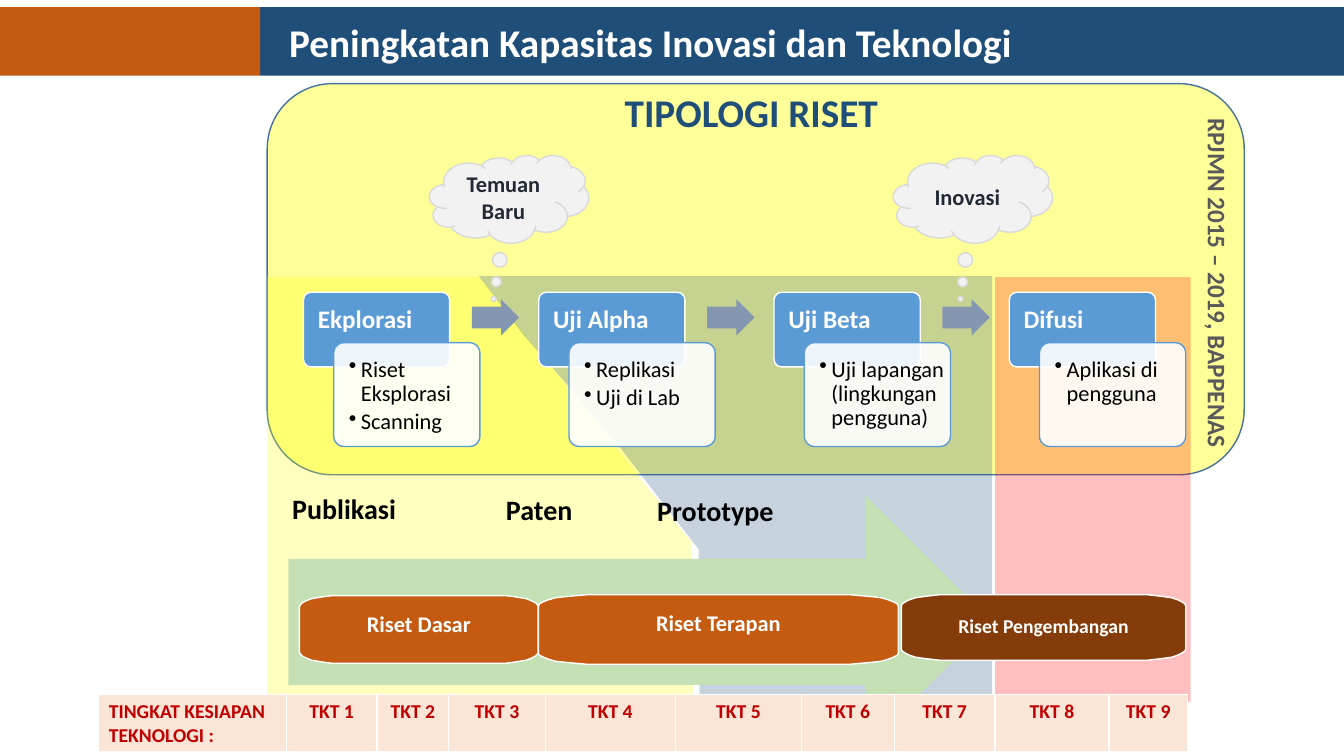
from dataclasses import dataclass
from math import cos, pi, sin

from lxml import etree
from pptx import Presentation
from pptx.dml.color import RGBColor
from pptx.enum.shapes import MSO_SHAPE
from pptx.enum.text import MSO_ANCHOR, PP_ALIGN
from pptx.oxml.ns import qn
from pptx.util import Emu, Pt

PX = 9144  # 100 px to the inch
RECTANGLE, ROUNDED = MSO_SHAPE.RECTANGLE, MSO_SHAPE.ROUNDED_RECTANGLE
ARROW, CLOUD = MSO_SHAPE.RIGHT_ARROW, MSO_SHAPE.CLOUD_CALLOUT
TOP, MIDDLE = MSO_ANCHOR.TOP, MSO_ANCHOR.MIDDLE
LEFT, CENTER = PP_ALIGN.LEFT, PP_ALIGN.CENTER


@dataclass(frozen=True)
class Theme:
    font: str = "Calibri"
    navy: str = "1F4E79"
    orange: str = "C55A11"
    brown: str = "843C0B"
    yellow: str = "FFFF00"
    red: str = "FF0000"
    blue: str = "5B9BD5"
    panel_line: str = "43739E"
    slate: str = "8497B0"
    green: str = "C5E0B4"
    cloud: str = "F2F2F2"
    cloud_line: str = "D9D9D9"
    cloud_text: str = "222A35"
    grey: str = "595959"
    white: str = "FFFFFF"
    black: str = "000000"
    peach: str = "FBE5D6"
    crimson: str = "C00000"
    title: int = 28
    output: int = 20
    heading: int = 18
    body: int = 16
    small: int = 14


THEME = Theme()

TITLE = "Peningkatan Kapasitas Inovasi dan Teknologi"
STAGES = [
    ("Ekplorasi", ["Riset Eksplorasi", "Scanning"]),
    ("Uji Alpha", ["Replikasi", "Uji di Lab"]),
    ("Uji Beta", ["Uji lapangan (lingkungan pengguna)"]),
    ("Difusi", ["Aplikasi di pengguna"]),
]
CLOUDS = [("Temuan Baru", 426, -0.097), ("Inovasi", 886, -0.078)]
LABELS = [  # text, box, size, colour, alignment, direction
    ("RPJMN 2015 – 2019, BAPPENAS", (1178, 108, 50, 340), THEME.heading, THEME.grey, LEFT, "vert"),
    ("TIPOLOGI RISET ", (265, 83, 969, 57), THEME.title, THEME.navy, CENTER, "horz"),
]
OUTPUTS = [
    (text, box, THEME.output, THEME.black, LEFT, "horz")
    for text, box in [("Publikasi", (280, 483, 124, 44)), ("Paten", (492, 484, 87, 44)),
                      ("Prototype", (642, 485, 137, 44))]
]
RESEARCH = [  # text, box, fill, size, anchor, side inset
    ("Riset Dasar", (297, 591, 237, 67), THEME.orange, THEME.body, TOP, 17),
    ("Riset Terapan", (534, 590, 357, 69), THEME.orange, THEME.body, TOP, 4),
    ("Riset Pengembangan", (894, 590, 282, 65), THEME.brown, THEME.small, MIDDLE, 17),
]
BASIC_ZONE = [(265, 275), (475, 275), (686, 538), (688, 696), (265, 696)]
APPLIED_ZONE = [(984, 696), (694, 696), (693, 545), (615, 444), (562, 381),
                (519, 332), (475, 274), (984, 274)]
READINESS = ["TINGKAT KESIAPAN TEKNOLOGI :"] + [f"TKT {level}" for level in range(1, 10)]
READINESS_WIDTHS = [186, 90, 71, 96, 129, 125, 92, 100, 113, 78]
STAGE_LEFT, STAGE_RIGHT = 301, 1001
STAGE_STEP = (STAGE_RIGHT - STAGE_LEFT) / (len(STAGES) - 1)


def emu(*lengths):
    return [Emu(round(length * PX)) for length in lengths]


def paint(shape, fill, line=None, opacity=100):
    shape.shadow.inherit = False
    shape.fill.solid()
    shape.fill.fore_color.rgb = RGBColor.from_string(fill)
    if opacity < 100:
        color = shape.fill._xPr.find(qn("a:solidFill"))[0]
        etree.SubElement(color, qn("a:alpha")).set("val", str(opacity * 1000))
    if line:
        shape.line.color.rgb = RGBColor.from_string(line)
        shape.line.width = Pt(1)
    else:
        shape.line.fill.background()
    return shape


def add_box(slide, kind, box, fill, line=None, opacity=100, adjustments=()):
    shape = slide.shapes.add_shape(kind, *emu(*box))
    for index, value in enumerate(adjustments):
        shape.adjustments[index] = value
    return paint(shape, fill, line, opacity)


def add_outline(slide, points, fill, line=None, opacity=100):
    builder = slide.shapes.build_freeform(*points[0], scale=PX)
    builder.add_line_segments(points[1:], close=True)
    return paint(builder.convert_to_shape(), fill, line, opacity)


def pill_points(left, top, width, height, steps=8):
    """Rectangle whose corners are quarter ellipses, a sixth of each side."""
    radius_x, radius_y = width / 6, height / 6
    corners = [(left + width - radius_x, top + height - radius_y),
               (left + radius_x, top + height - radius_y),
               (left + radius_x, top + radius_y),
               (left + width - radius_x, top + radius_y)]
    return [
        (round(x + radius_x * cos(angle)), round(y + radius_y * sin(angle)))
        for quarter, (x, y) in enumerate(corners)
        for angle in [(quarter + step / steps) * pi / 2 for step in range(steps + 1)]
    ]


def write(frame, text, size, color, bold=True, align=LEFT, anchor=TOP,
          insets=(10, 5, 10, 5), spacing=None):
    frame.text = text
    frame.word_wrap = True
    frame.vertical_anchor = anchor
    (frame.margin_left, frame.margin_top,
     frame.margin_right, frame.margin_bottom) = emu(*insets)
    for paragraph in frame.paragraphs:
        paragraph.alignment = align
        paragraph.line_spacing = spacing
        for run in paragraph.runs:
            run.font.name = THEME.font
            run.font.size = Pt(size)
            run.font.bold = bold
            run.font.color.rgb = RGBColor.from_string(color)


def indent(paragraph, margin, first, bullet=None):
    properties = paragraph._p.get_or_add_pPr()
    properties.set("marL", str(margin * PX))
    properties.set("indent", str(first * PX))
    if bullet:
        etree.SubElement(properties, qn("a:buChar")).set("char", bullet)


def add_label(slide, text, box, size, color, align, direction):
    frame = slide.shapes.add_textbox(*emu(*box)).text_frame
    write(frame, text, size, color, align=align)
    frame.word_wrap = align == CENTER
    frame._txBody.bodyPr.set("vert", direction)


def add_stage(slide, index, name, activities):
    left = STAGE_LEFT + index * STAGE_STEP
    heading = add_box(slide, ROUNDED, (left, 290, 145, 74), THEME.blue, THEME.white,
                      adjustments=[0.1])
    write(heading.text_frame, name, THEME.heading, THEME.white,
          insets=(12, 12, 12, 30), spacing=0.9)
    card = add_box(slide, ROUNDED, (left + 30, 340, 145, 103), THEME.white, THEME.blue, 90, [0.1])
    write(card.text_frame, "\n".join(activities), THEME.body, THEME.black, bold=False,
          insets=(12, 12, 0, 12), spacing=0.9)
    for paragraph in card.text_frame.paragraphs:
        paragraph.space_after = Pt(3)
        indent(paragraph, 12, -12, "•")
    if index < len(STAGES) - 1:
        add_box(slide, ARROW, (left + 167, 297, 47, 36), THEME.slate, adjustments=[0.6, 0.5])


def add_readiness_table(slide):
    frame = slide.shapes.add_table(1, len(READINESS), *emu(98, 689, sum(READINESS_WIDTHS), 57))
    for index, (text, width) in enumerate(zip(READINESS, READINESS_WIDTHS)):
        frame.table.columns[index].width = emu(width)[0]
        cell = frame.table.cell(0, index)
        cell.fill.solid()
        cell.fill.fore_color.rgb = RGBColor.from_string(THEME.peach)
        write(cell.text_frame, text, THEME.small, THEME.crimson, align=CENTER if index else LEFT)


def main():
    presentation = Presentation()
    presentation.slide_width, presentation.slide_height = emu(1333, 750)
    slide = presentation.slides.add_slide(presentation.slide_layouts[6])

    add_box(slide, ROUNDED, (265, 83, 969, 388), THEME.yellow, THEME.panel_line, 40)
    add_box(slide, RECTANGLE, (987, 275, 194, 421), THEME.red, opacity=25)
    add_outline(slide, BASIC_ZONE, THEME.yellow, opacity=25)
    add_outline(slide, APPLIED_ZONE, THEME.navy, opacity=25)

    banner = add_box(slide, RECTANGLE, (258, 7, 1075, 68), THEME.navy)
    write(banner.text_frame, TITLE, THEME.title, THEME.white, anchor=MIDDLE)
    indent(banner.text_frame.paragraphs[0], 19, 0)
    add_box(slide, RECTANGLE, (0, 7, 258, 68), THEME.orange)

    for label in LABELS:
        add_label(slide, *label)
    for index, (name, activities) in enumerate(STAGES):
        add_stage(slide, index, name, activities)
    for text, left, tail in CLOUDS:
        cloud = add_box(slide, CLOUD, (left, 154, 158, 87), THEME.cloud, THEME.cloud_line,
                        adjustments=[tail, 1.139])
        write(cloud.text_frame, text, THEME.body, THEME.cloud_text, align=CENTER, anchor=MIDDLE)

    add_box(slide, ARROW, (286, 492, 698, 250), THEME.green)
    for text, box, fill, size, anchor, side in RESEARCH:
        pill = add_outline(slide, pill_points(*box), fill, THEME.white)
        write(pill.text_frame, text, size, THEME.white, align=CENTER, anchor=anchor,
              insets=(side, 17, side, 17), spacing=0.9)
    for label in OUTPUTS:
        add_label(slide, *label)
    add_readiness_table(slide)
    presentation.save("out.pptx")


if __name__ == "__main__":
    main()
